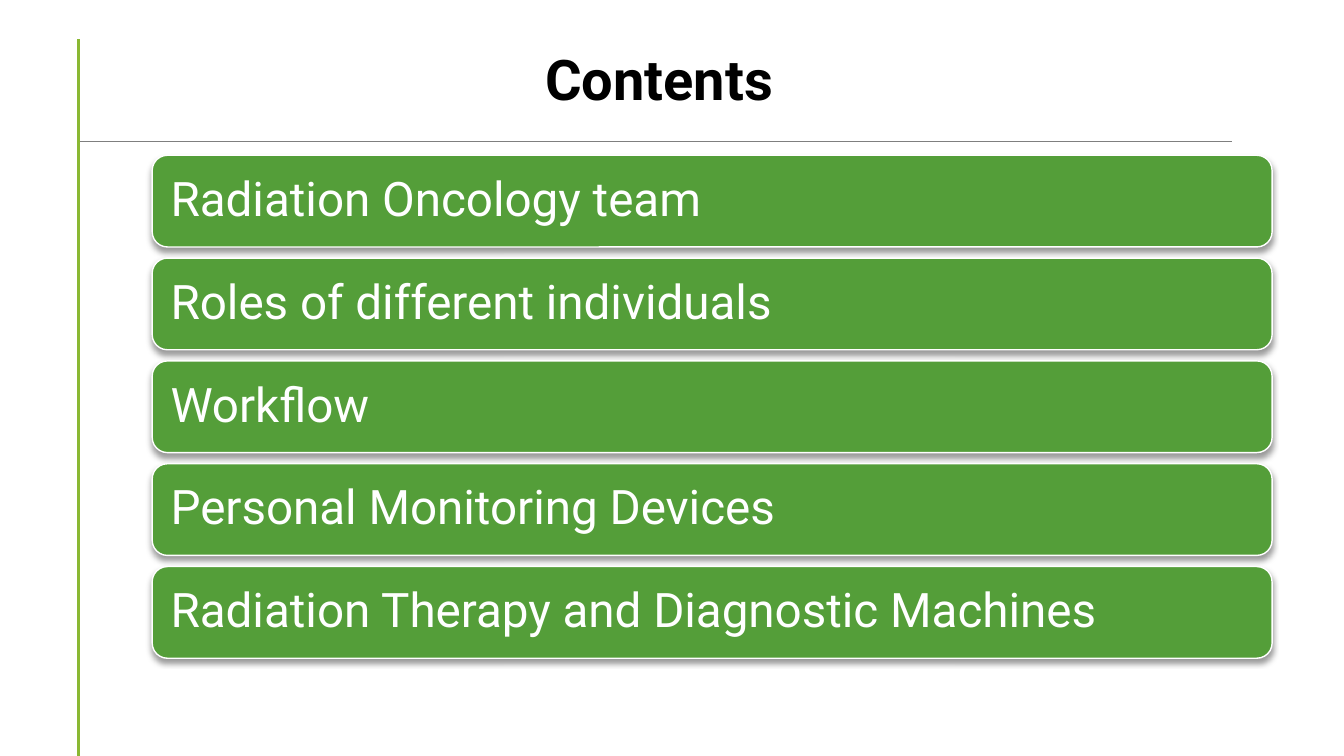
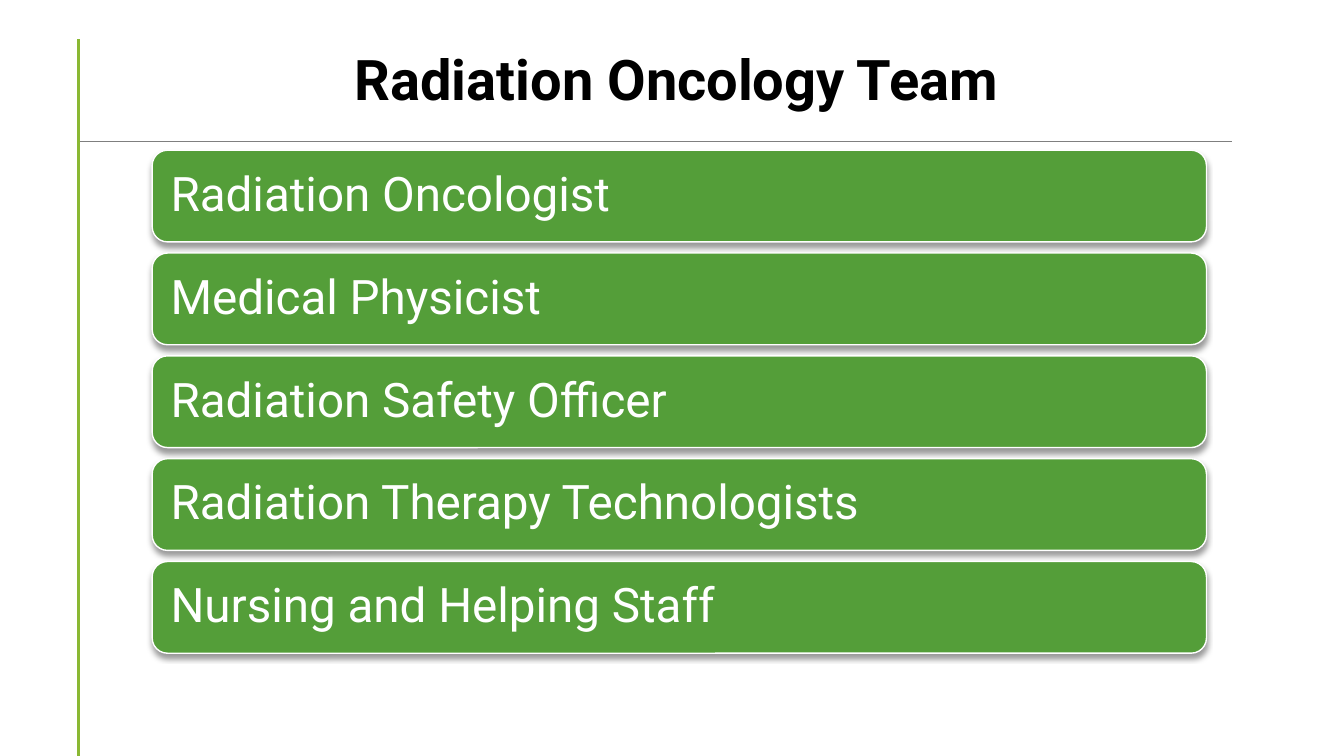
from lxml.etree import SubElement
from pptx import Presentation
from pptx.dml.color import RGBColor
from pptx.enum.shapes import MSO_CONNECTOR, MSO_SHAPE
from pptx.enum.text import MSO_ANCHOR, PP_ALIGN
from pptx.oxml.ns import qn
from pptx.util import Pt

COLORS = {
    "title": "000000",
    "bar": "549E39",
    "bar_text": "FFFFFF",
    "margin_line": "8AB833",
    "title_rule": "7F7F7F",
    "shadow": "000000",
}
FONT = "Roboto"
BAR_LEFT, BAR_HEIGHT, BAR_PITCH = 108.7, 65.5, 73.44

TOPICS = [
    {
        "title": "Contents", "title_left": 382.3, "title_width": 196.6,
        "bars_top": 110.9, "bars_width": 800,
        "entries": [
            "Radiation Oncology team",
            "Roles of different individuals",
            "Workflow",
            "Personal Monitoring Devices",
            "Radiation Therapy and Diagnostic Machines",
        ],
    },
    {
        "title": "Radiation Oncology Team", "title_left": 246.2, "title_width": 588.2,
        "bars_top": 107.3, "bars_width": 753.1,
        "entries": [
            "Radiation Oncologist",
            "Medical Physicist",
            "Radiation Safety Officer",
            "Radiation Therapy Technologists",
            "Nursing and Helping Staff",
        ],
    },
]
FRAME_LINES = [
    (56.2, 28.1, 56.2, 540, 2, "margin_line"),
    (57, 100.8, 880, 100.8, 0.5, "title_rule"),
]


def write_text(frame, text, size, color, bold=False):
    frame.word_wrap = True
    paragraph = frame.paragraphs[0]
    paragraph.alignment = PP_ALIGN.LEFT
    run = paragraph.add_run()
    run.text = text
    run.font.name = FONT
    run.font.size = Pt(size)
    run.font.bold = bold
    run.font.color.rgb = RGBColor.from_string(COLORS[color])
    return paragraph


def add_bar_shadow(bar):
    bar.shadow.inherit = False
    effects = bar._element.spPr.find(qn("a:effectLst"))
    shadow = SubElement(effects, qn("a:outerShdw"), blurRad=str(Pt(4)),
                        dist=str(Pt(3)), dir="5400000", rotWithShape="0")
    tint = SubElement(shadow, qn("a:srgbClr"), val=COLORS["shadow"])
    SubElement(tint, qn("a:alpha"), val="40000")


prs = Presentation()
prs.slide_width, prs.slide_height = Pt(960), Pt(540)

for topic in TOPICS:
    slide = prs.slides.add_slide(prs.slide_layouts[5])

    title = slide.shapes.title
    title.left, title.top = Pt(topic["title_left"]), Pt(28.1)
    title.width, title.height = Pt(topic["title_width"]), Pt(55.7)
    title.text_frame.vertical_anchor = MSO_ANCHOR.TOP
    write_text(title.text_frame, topic["title"], 40, "title", bold=True)

    for x1, y1, x2, y2, weight, color in FRAME_LINES:
        frame_line = slide.shapes.add_connector(
            MSO_CONNECTOR.STRAIGHT, Pt(x1), Pt(y1), Pt(x2), Pt(y2))
        frame_line.line.width = Pt(weight)
        frame_line.line.color.rgb = RGBColor.from_string(COLORS[color])
        SubElement(frame_line._element.spPr, qn("a:effectLst"))

    for row, entry in enumerate(topic["entries"]):
        bar = slide.shapes.add_shape(
            MSO_SHAPE.ROUNDED_RECTANGLE, Pt(BAR_LEFT),
            Pt(topic["bars_top"] + row * BAR_PITCH),
            Pt(topic["bars_width"]), Pt(BAR_HEIGHT))
        bar.fill.solid()
        bar.fill.fore_color.rgb = RGBColor.from_string(COLORS["bar"])
        bar.line.width = Pt(1)
        bar.line.color.rgb = RGBColor.from_string(COLORS["bar_text"])
        add_bar_shadow(bar)
        label = bar.text_frame
        label.margin_left = label.margin_right = Pt(10)
        label.margin_top = label.margin_bottom = Pt(10)
        label.vertical_anchor = MSO_ANCHOR.MIDDLE
        write_text(label, entry, 34, "bar_text").line_spacing = 0.9

prs.save("out.pptx")
